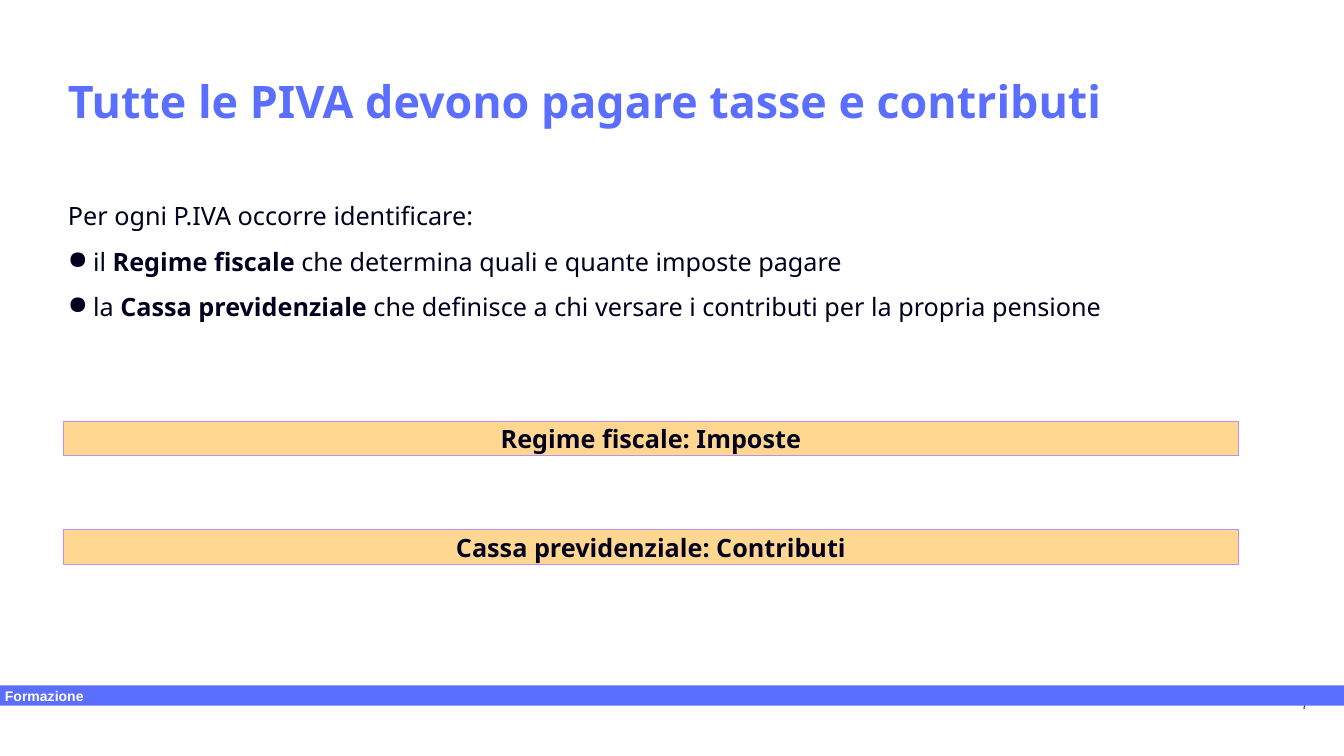
from lxml import etree
from pptx import Presentation
from pptx.dml.color import RGBColor
from pptx.enum.shapes import MSO_SHAPE
from pptx.enum.text import MSO_ANCHOR, PP_ALIGN
from pptx.oxml.ns import qn
from pptx.util import Inches, Pt

BLUE = RGBColor(0x5A, 0x6E, 0xFF)
NAVY = RGBColor(0x00, 0x00, 0x1E)
AMBER = RGBColor(0xFF, 0xD7, 0x91)
LILAC = RGBColor(0xB4, 0x91, 0xFF)
WHITE = RGBColor(0xFF, 0xFF, 0xFF)
BLACK = RGBColor(0x00, 0x00, 0x00)
RECT = MSO_SHAPE.RECTANGLE
TOP, MIDDLE = MSO_ANCHOR.TOP, MSO_ANCHOR.MIDDLE
LEFT, CENTER, RIGHT = PP_ALIGN.LEFT, PP_ALIGN.CENTER, PP_ALIGN.RIGHT


def write(shape, text, size=36, font="Noto Sans", color=NAVY, bold=False,
          align=LEFT, anchor=MIDDLE, side=0.1):
    frame = shape.text_frame
    frame.word_wrap = True
    frame.vertical_anchor = anchor
    frame.margin_left = frame.margin_right = Inches(side)
    frame.margin_top = frame.margin_bottom = Inches(0.1)
    for row, line in enumerate(text.split("\n")):
        para = frame.add_paragraph() if row else frame.paragraphs[0]
        para.alignment = align
        for part, words in enumerate(line.split("*")):
            run = para.add_run()
            run.text = words
            run.font.size = Pt(size)
            run.font.name = font
            run.font.color.rgb = color
            run.font.bold = bold or part % 2 == 1
    return frame


deck = Presentation()
deck.slide_width = Inches(26.67)
deck.slide_height = Inches(15)
slide = deck.slides.add_slide(deck.slide_layouts[6])
shapes = slide.shapes

number = shapes.add_textbox(Inches(25.2), Inches(13.59), Inches(0.94), Inches(0.8))
write(number, "7", size=14, font="Arial", color=BLACK, align=RIGHT, side=0.2)

title = shapes.add_textbox(Inches(1.25), Inches(1), Inches(24.17), Inches(2))
write(title, "Tutte le PIVA devono pagare tasse e contributi",
      size=64, color=BLUE, bold=True)

footer = shapes.add_shape(RECT, 0, Inches(13.6), deck.slide_width, Inches(0.4))
footer.shadow.inherit = False
footer.fill.solid()
footer.fill.fore_color.rgb = BLUE
footer.line.fill.background()
write(footer, "Formazione", size=20, font="Arial", color=WHITE, bold=True)

body = shapes.add_textbox(Inches(1.25), Inches(3.58), Inches(23.64), Inches(2.63))
frame = write(
    body,
    "Per ogni P.IVA occorre identificare:\n"
    "il *Regime fiscale* che determina quali e quante imposte pagare\n"
    "la *Cassa previdenziale* che definisce a chi versare i contributi "
    "per la propria pensione",
    anchor=TOP)
for row, para in enumerate(frame.paragraphs):
    para.line_spacing = 1.5
    if row:
        props = para._p.get_or_add_pPr()
        props.set("marL", str(Inches(0.5)))
        props.set("indent", str(-Inches(0.5)))
        tint = etree.SubElement(props, qn("a:buClr"))
        etree.SubElement(tint, qn("a:srgbClr"), val=str(NAVY))
        etree.SubElement(props, qn("a:buChar"), char="●")

bands = [(8.35, "Regime fiscale: Imposte"),
         (10.51, "Cassa previdenziale: Contributi")]
for top, label in bands:
    band = shapes.add_shape(RECT, Inches(1.25), Inches(top), Inches(23.33), Inches(0.69))
    band.shadow.inherit = False
    band.fill.solid()
    band.fill.fore_color.rgb = AMBER
    band.line.color.rgb = LILAC
    band.line.width = Pt(0.75)
    write(band, label, bold=True, align=CENTER)

deck.save("out.pptx")
